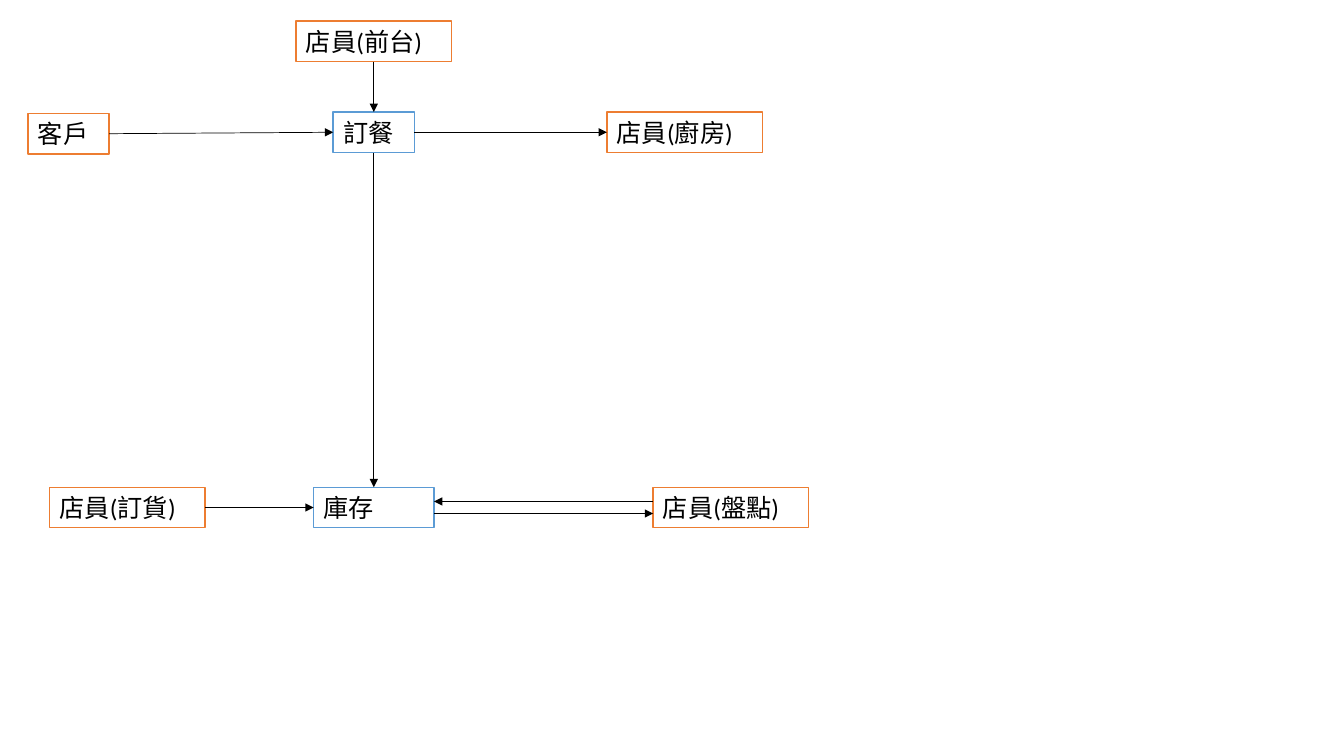
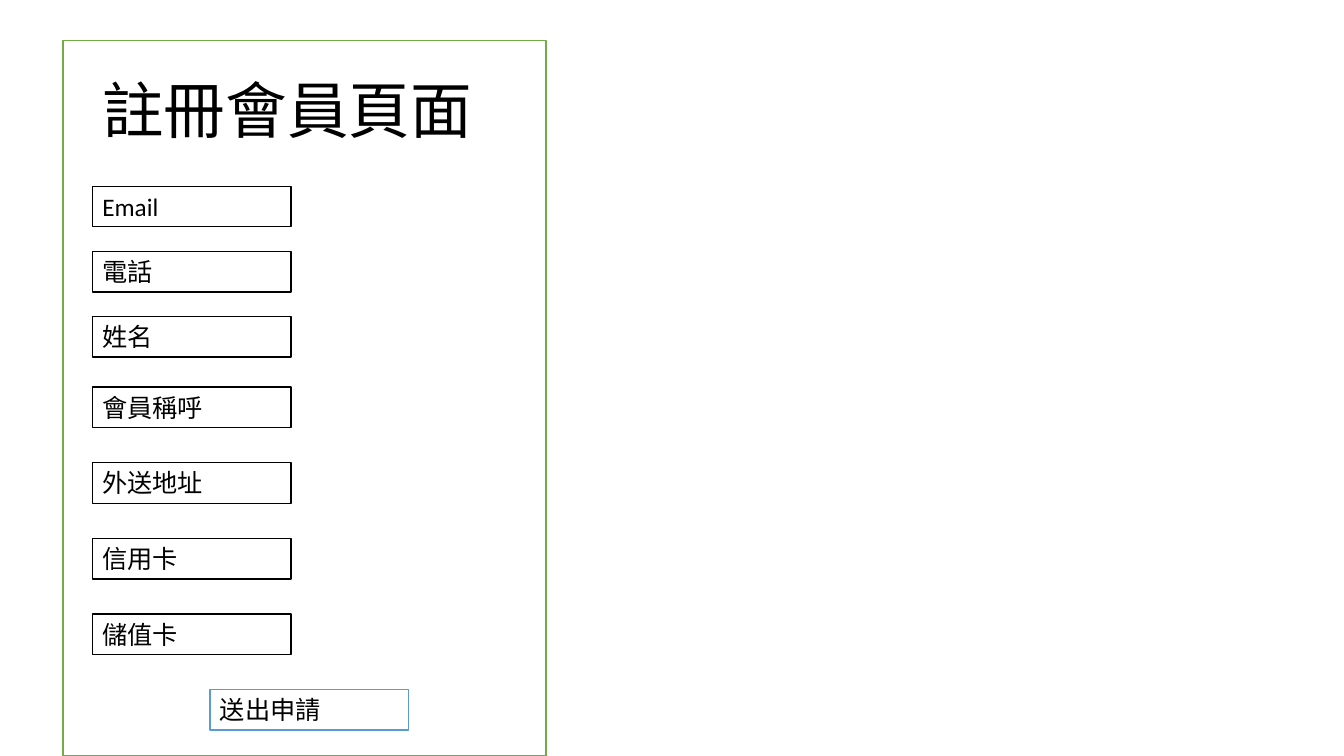
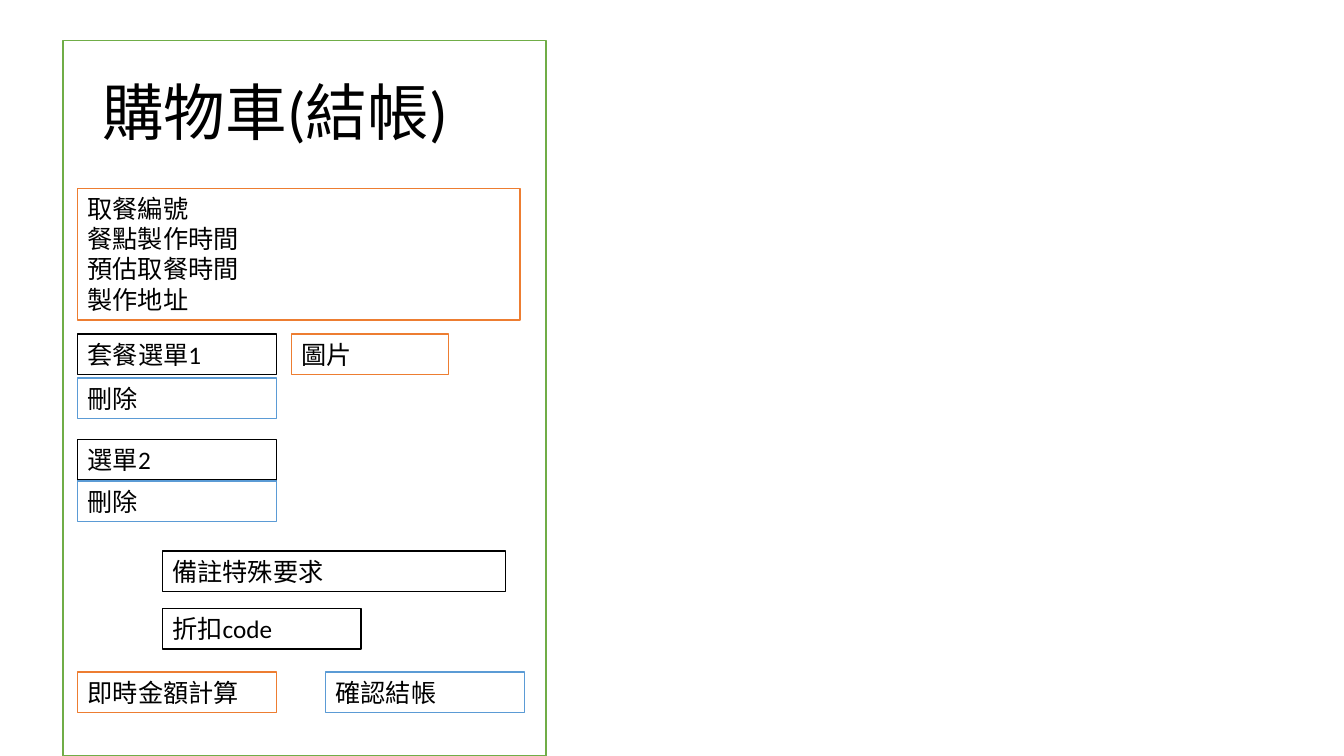
from lxml.etree import SubElement
from pptx import Presentation
from pptx.dml.color import RGBColor
from pptx.enum.shapes import MSO_CONNECTOR, MSO_SHAPE
from pptx.enum.text import MSO_ANCHOR, MSO_AUTO_SIZE, PP_ALIGN
from pptx.oxml.ns import qn
from pptx.util import Pt

COLORS = {"black": "000000", "white": "FFFFFF", "blue": "5B9BD5",
          "orange": "ED7D31", "green": "70AD47"}
FONT = "Calibri"
TALL = 29     # height of a one-line box
FIELD = 142   # width of a form field
MID = 267     # centre of the flow column
TOP, BOTTOM, LEFT, RIGHT = 0, 2, 1, 3

# Flow chart: key -> text, centre x, top, width, line colour
NODES = {
    "order": ("訂餐", MID, 80, 58, "blue"),
    "client": ("客戶", 49, 81, 58, "orange"),
    "front": ("店員(前台)", MID, 15, 111, "orange"),
    "kitchen": ("店員(廚房)", 489, 80, 111, "orange"),
    "count": ("店員(盤點)", 522, 348, 111, "orange"),
    "stock": ("庫存", MID, 348, 86, "blue"),
    "buyer": ("店員(訂貨)", 91, 348, 111, "orange"),
}
LINKS = [
    ("client", RIGHT, "order", LEFT),
    ("front", BOTTOM, "order", TOP),
    ("order", RIGHT, "kitchen", LEFT),
    ("order", BOTTOM, "stock", TOP),
    ("buyer", RIGHT, "stock", LEFT),
]
GAP = 8.6     # between the two arrows of stock and count

# Forms: text, left, top, width, height, line colour
JOIN_FIELDS = [("Email", 133), ("電話", 179.5), ("姓名", 226), ("會員稱呼", 276.5),
               ("外送地址", 330.5), ("信用卡", 384.5), ("儲值卡", 438.5)]
JOIN = [(text, 66, top, FIELD, TALL, "black") for text, top in JOIN_FIELDS]
JOIN.append(("送出申請", 150, 492.5, FIELD, TALL, "blue"))
CART = [
    ("取餐編號\n餐點製作時間\v預估取餐時間\n製作地址", 55.5, 134.5, 316, 94, "orange"),
    ("套餐選單1", 55.5, 238.5, FIELD, TALL, "black"),
    ("圖片", 208, 238.5, 112.5, TALL, "orange"),
    ("刪除", 55.5, 270, FIELD, TALL, "blue"),
    ("選單2", 55.5, 314, FIELD, TALL, "black"),
    ("刪除", 55.5, 343.5, FIELD, TALL, "blue"),
    ("備註特殊要求", 116, 393.5, 245, TALL, "black"),
    ("折扣code", 116, 434.5, FIELD, TALL, "black"),
    ("即時金額計算", 55.5, 480, FIELD, TALL, "orange"),
    ("確認結帳", 232.5, 480, FIELD, TALL, "blue"),
]
FORMS = [("註冊會員頁面", 29, JOIN), ("購物車(結帳)", 30.5, CART)]


def rgb(name):
    return RGBColor.from_string(COLORS[name])


def style(frame, size, space=None):
    frame.word_wrap = True
    for para in frame.paragraphs:
        para.alignment = PP_ALIGN.LEFT
        para.line_spacing = space
        para.font.size = Pt(size)
        para.font.name = FONT
        para.font.color.rgb = rgb("black")


def add_rect(slide, x, y, w, h, color):
    rect = slide.shapes.add_shape(MSO_SHAPE.RECTANGLE, Pt(x), Pt(y), Pt(w), Pt(h))
    rect.shadow.inherit = False
    rect.fill.background()
    rect.line.color.rgb = rgb(color)
    rect.line.width = Pt(1)
    return rect


def add_box(slide, text, x, y, w, h, color):
    box = add_rect(slide, x, y, w, h, color)
    box.fill.solid()
    box.fill.fore_color.rgb = rgb("white")
    frame = box.text_frame
    frame.text = text
    frame.vertical_anchor = MSO_ANCHOR.TOP
    frame.margin_right = 0
    frame.auto_size = MSO_AUTO_SIZE.SHAPE_TO_FIT_TEXT
    style(frame, 18)
    return box


def add_arrow(slide, x1=0, y1=0, x2=0, y2=0):
    arrow = slide.shapes.add_connector(
        MSO_CONNECTOR.STRAIGHT, Pt(x1), Pt(y1), Pt(x2), Pt(y2))
    arrow.line.color.rgb = rgb("black")
    arrow.line.width = Pt(0.5)
    props = arrow._element.spPr
    SubElement(props.find(qn("a:ln")), qn("a:tailEnd"), type="triangle")
    SubElement(props, qn("a:effectLst"))
    return arrow


def add_flow(slide):
    boxes = {key: add_box(slide, text, mid - w / 2, y, w, TALL, color)
             for key, (text, mid, y, w, color) in NODES.items()}
    for start, side, end, goal in LINKS:
        arrow = add_arrow(slide)
        arrow.begin_connect(boxes[start], side)
        arrow.end_connect(boxes[end], goal)
    stock, count = boxes["stock"], boxes["count"]
    near, far = stock.left.pt + stock.width.pt, count.left.pt
    mid = stock.top.pt + TALL / 2
    add_arrow(slide, far, mid - GAP / 2, near, mid - GAP / 2)
    add_arrow(slide, near, mid + GAP / 2, far, mid + GAP / 2)


def add_form(slide, title, top, boxes):
    head = slide.shapes.add_textbox(Pt(66), Pt(top), Pt(828), Pt(104.5))
    head.text_frame.text = title
    head.text_frame.vertical_anchor = MSO_ANCHOR.MIDDLE
    style(head.text_frame, 44, 0.9)
    for box in boxes:
        add_box(slide, *box)
    add_rect(slide, 45, 29, 345, 511, "green")


def main():
    deck = Presentation()
    deck.slide_width, deck.slide_height = Pt(960), Pt(540)
    blank = deck.slide_layouts[6]
    add_flow(deck.slides.add_slide(blank))
    for form in FORMS:
        add_form(deck.slides.add_slide(blank), *form)
    deck.save("out.pptx")


if __name__ == "__main__":
    main()
